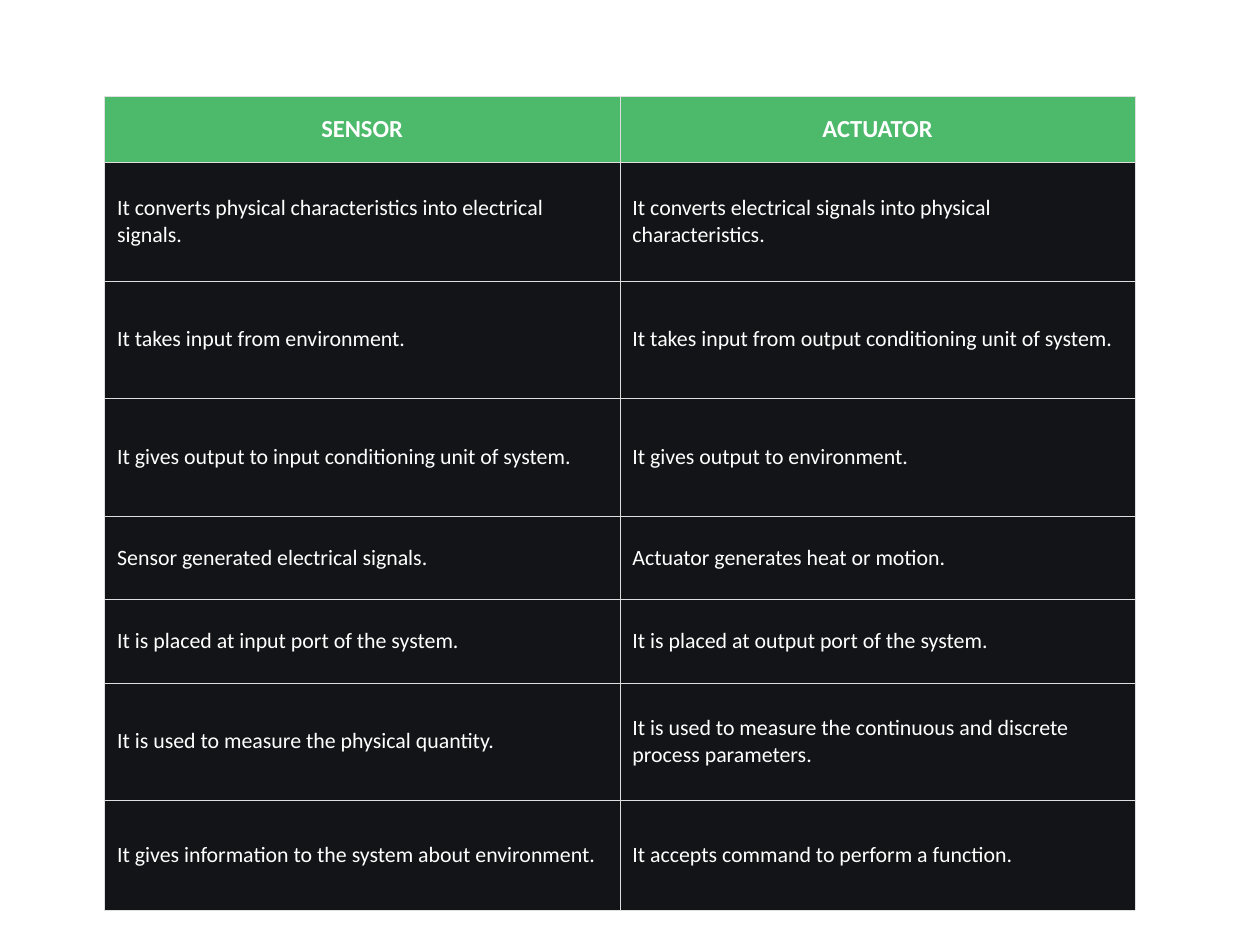
from dataclasses import dataclass

from lxml.etree import SubElement
from pptx import Presentation
from pptx.dml.color import RGBColor
from pptx.enum.text import MSO_ANCHOR as Anchor, PP_ALIGN as Align
from pptx.oxml.ns import qn
from pptx.util import Inches, Pt

LEFT, COL = 0.83, 4.09
EDGE = "DFDFDF"


@dataclass(frozen=True)
class Style:
    fill: str
    size: float
    bold: bool
    align: Align
    pad_x: float
    pad_y: float


@dataclass(frozen=True)
class Row:
    height: float
    sensor: str
    actor: str
    style: Style


HEAD = Style("4CB96B", 14, True, Align.CENTER, 0.08, 0.08)
BODY = Style("131417", 12.5, False, Align.LEFT, 0.1, 0.15)

MAIN = [
    Row(0.53, "SENSOR", "ACTUATOR", HEAD),
    Row(0.94, "It converts physical characteristics into electrical signals.",
        "It converts electrical signals into physical characteristics.", BODY),
    Row(0.93, "It takes input from environment.",
        "It takes input from output conditioning unit of system.", BODY),
    Row(0.94, "It gives output to input conditioning unit of system.",
        "It gives output to environment.", BODY),
    Row(0.66, "Sensor generated electrical signals.",
        "Actuator generates heat or motion.", BODY),
    Row(0.66, "It is placed at input port of the system.",
        "It is placed at output port of the system.", BODY),
    Row(0.93, "It is used to measure the physical quantity.",
        "It is used to measure the continuous and discrete process parameters.",
        BODY),
]
LAST = [
    Row(0.87, "It gives information to the system about environment.",
        "It accepts command to perform a function.", BODY),
]


def color(code: str) -> RGBColor:
    return RGBColor.from_string(code)


def add_edges(cell) -> None:
    """Draw a thin line on all four sides; lines go before the fill."""
    props = cell._tc.get_or_add_tcPr()
    for spot, side in enumerate(("a:lnL", "a:lnR", "a:lnT", "a:lnB")):
        line = SubElement(props, qn(side), w=str(Pt(0.23)))
        fill = SubElement(line, qn("a:solidFill"))
        SubElement(fill, qn("a:srgbClr"), val=EDGE)
        props.insert(spot, line)


def fill_cell(cell, text: str, style: Style) -> None:
    cell.text = text
    cell.fill.solid()
    cell.fill.fore_color.rgb = color(style.fill)
    cell.vertical_anchor = Anchor.MIDDLE
    cell.margin_left = cell.margin_right = Inches(style.pad_x)
    cell.margin_top = cell.margin_bottom = Inches(style.pad_y)
    para = cell.text_frame.paragraphs[0]
    para.alignment = style.align
    font = para.font
    font.name, font.size, font.bold = "Calibri", Pt(style.size), style.bold
    font.color.rgb = color("FFFFFF")
    add_edges(cell)


def add_grid(slide, top: float, rows: list[Row]) -> float:
    """Add a two-column table and return its bottom edge."""
    height = sum(row.height for row in rows)
    table = slide.shapes.add_table(
        len(rows), 2, Inches(LEFT), Inches(top),
        Inches(2 * COL), Inches(height)).table
    table.first_row = table.horz_banding = False
    for col in table.columns:
        col.width = Inches(COL)
    for line, row in zip(table.rows, rows):
        line.height = Inches(row.height)
        for cell, text in zip(line.cells, (row.sensor, row.actor)):
            fill_cell(cell, text, row.style)
    return top + height


def main() -> None:
    deck = Presentation()
    deck.slide_width, deck.slide_height = Inches(10), Inches(7.5)
    slide = deck.slides.add_slide(deck.slide_layouts[6])

    # The last row is a table of its own, right below the main one
    bottom = add_grid(slide, 0.76, MAIN)
    add_grid(slide, bottom, LAST)
    deck.save("out.pptx")


if __name__ == "__main__":
    main()
